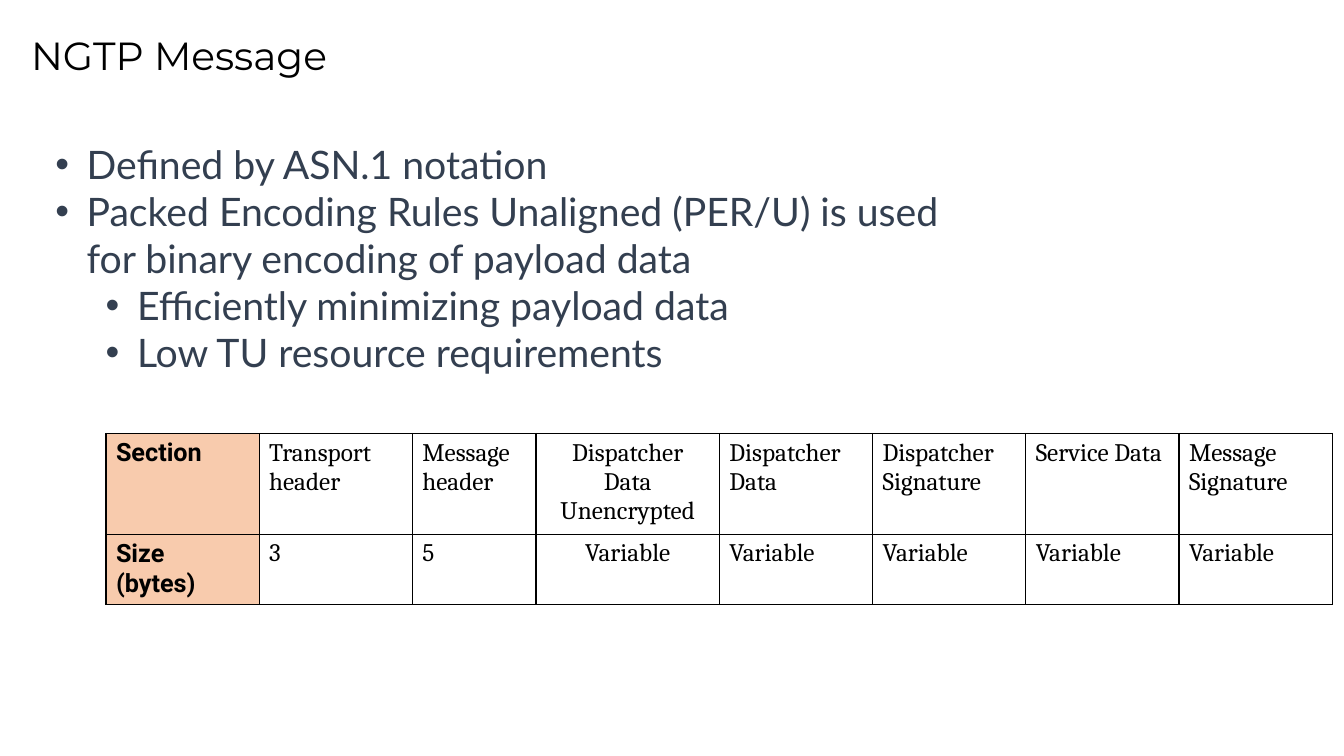
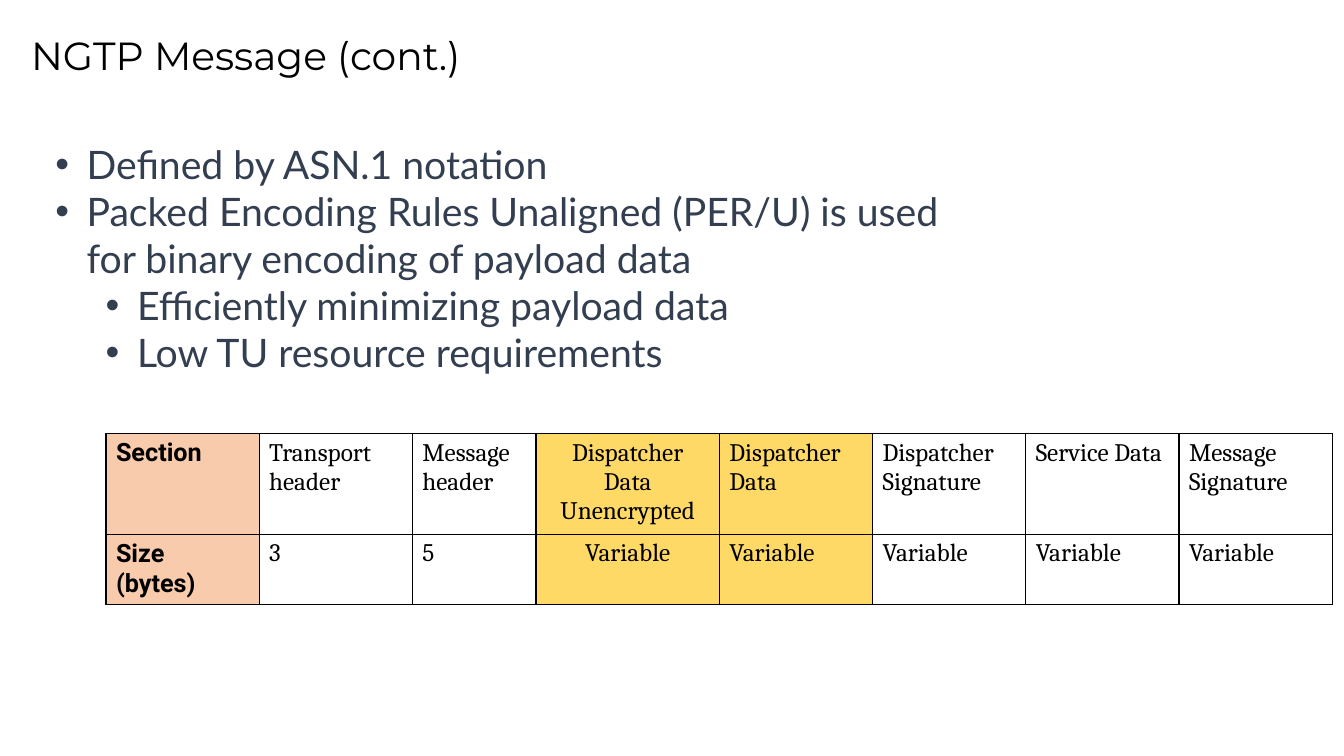
from dataclasses import dataclass

from lxml import etree
from pptx import Presentation
from pptx.dml.color import RGBColor
from pptx.enum import text
from pptx.oxml import ns
from pptx.util import Cm, Pt


@dataclass(frozen=True)
class Theme:
    black: str = "000000"
    slate: str = "333F50"
    peach: str = "F8CBAD"
    gold: str = "FFD966"
    title_font: str = "Montserrat"
    body_font: str = "Lato"
    label_font: str = "Roboto"
    cell_font: str = "Cambria"
    heading_size: int = 28
    cell_size: int = 18
    border_width: int = 1


theme = Theme()

title_widths = {"NGTP Message": 8.79, "NGTP Message (cont.)": 12.65}
points = [
    (0, "Defined by ASN.1 notation"),
    (0, "Packed Encoding Rules Unaligned (PER/U) is used for binary encoding of payload data"),
    (1, "Efficiently minimizing payload data"),
    (1, "Low TU resource requirements"),
]
# Each cell is a list of paragraphs; "\n" is a line break inside one.
message_rows = [
    [["Section"], ["Transport\nheader"], ["Message\nheader"],
     ["Dispatcher\nData", "Unencrypted"], ["Dispatcher\nData"],
     ["Dispatcher\nSignature"], ["Service Data"], ["Message\nSignature"]],
    [["Size (bytes)"], ["3"], ["5"]] + [["Variable"]] * 5,
]
column_widths = [3.86, 3.86, 3.12, 4.62] + [3.86] * 4
row_height = 1.65
centred_column = 3
highlights = {"NGTP Message": (), "NGTP Message (cont.)": (3, 4)}


def write(paragraph, words, font, size, color, bold=False):
    for index, line in enumerate(words.split("\n")):
        if index:
            paragraph.add_line_break()
        run = paragraph.add_run()
        run.text = line
        run.font.name = font
        run.font.size = Pt(size)
        run.font.bold = bold
        run.font.color.rgb = RGBColor.from_string(color)


def draw_borders(cell):
    properties = cell._tc.get_or_add_tcPr()
    for position, side in enumerate(("lnL", "lnR", "lnT", "lnB")):
        line = etree.Element(ns.qn(f"a:{side}"), w=str(Pt(theme.border_width)))
        fill = etree.SubElement(line, ns.qn("a:solidFill"))
        etree.SubElement(fill, ns.qn("a:srgbClr"), val=theme.black)
        properties.insert(position, line)


prs = Presentation()
prs.slide_width, prs.slide_height = Cm(33.87), Cm(19.05)

for heading, highlighted in highlights.items():
    slide = prs.slides.add_slide(prs.slide_layouts[1])

    title = slide.shapes.title
    title.left, title.top = Cm(0.53), Cm(0.66)
    title.width, title.height = Cm(title_widths[heading]), Cm(1.45)
    title.text_frame.word_wrap = False
    title.text_frame.auto_size = text.MSO_AUTO_SIZE.SHAPE_TO_FIT_TEXT
    title.text_frame.vertical_anchor = text.MSO_ANCHOR.TOP
    title_line = title.text_frame.paragraphs[0]
    title_line.alignment = text.PP_ALIGN.LEFT
    write(title_line, heading, theme.title_font, theme.heading_size, theme.black)

    body = slide.placeholders[1]
    body.left, body.top, body.width, body.height = Cm(1.14), Cm(3.4), Cm(23.16), Cm(6.25)
    body.text_frame.word_wrap = True
    body.text_frame.auto_size = text.MSO_AUTO_SIZE.SHAPE_TO_FIT_TEXT
    for index, (level, words) in enumerate(points):
        point = body.text_frame.add_paragraph() if index else body.text_frame.paragraphs[0]
        point.level = level
        point.space_before = Pt(0)
        properties = point._p.get_or_add_pPr()
        properties.set("marL", str(Cm(0.79 + 1.27 * level)))
        properties.set("indent", str(-Cm(0.79)))
        etree.SubElement(properties, ns.qn("a:buFont"), typeface="Arial")
        etree.SubElement(properties, ns.qn("a:buChar"), char="•")
        write(point, words, theme.body_font, theme.heading_size, theme.slate)

    sections = slide.shapes.add_table(
        len(message_rows), len(column_widths), Cm(2.67), Cm(10.92),
        Cm(sum(column_widths)), Cm(row_height * len(message_rows))).table
    sections.first_row = sections.horz_banding = False
    for column, width in zip(sections.columns, column_widths):
        column.width = Cm(width)

    for row, contents in enumerate(message_rows):
        sections.rows[row].height = Cm(row_height)
        for column, paragraphs in enumerate(contents):
            cell = sections.cell(row, column)
            is_label = column == 0
            if is_label or column in highlighted:
                cell.fill.solid()
                cell.fill.fore_color.rgb = RGBColor.from_string(
                    theme.peach if is_label else theme.gold)
            else:
                cell.fill.background()
            draw_borders(cell)
            for index, words in enumerate(paragraphs):
                frame = cell.text_frame
                paragraph = frame.add_paragraph() if index else frame.paragraphs[0]
                if column == centred_column:
                    paragraph.alignment = text.PP_ALIGN.CENTER
                write(paragraph, words, theme.label_font if is_label else theme.cell_font,
                      theme.cell_size, theme.black, bold=is_label)

prs.save("out.pptx")
